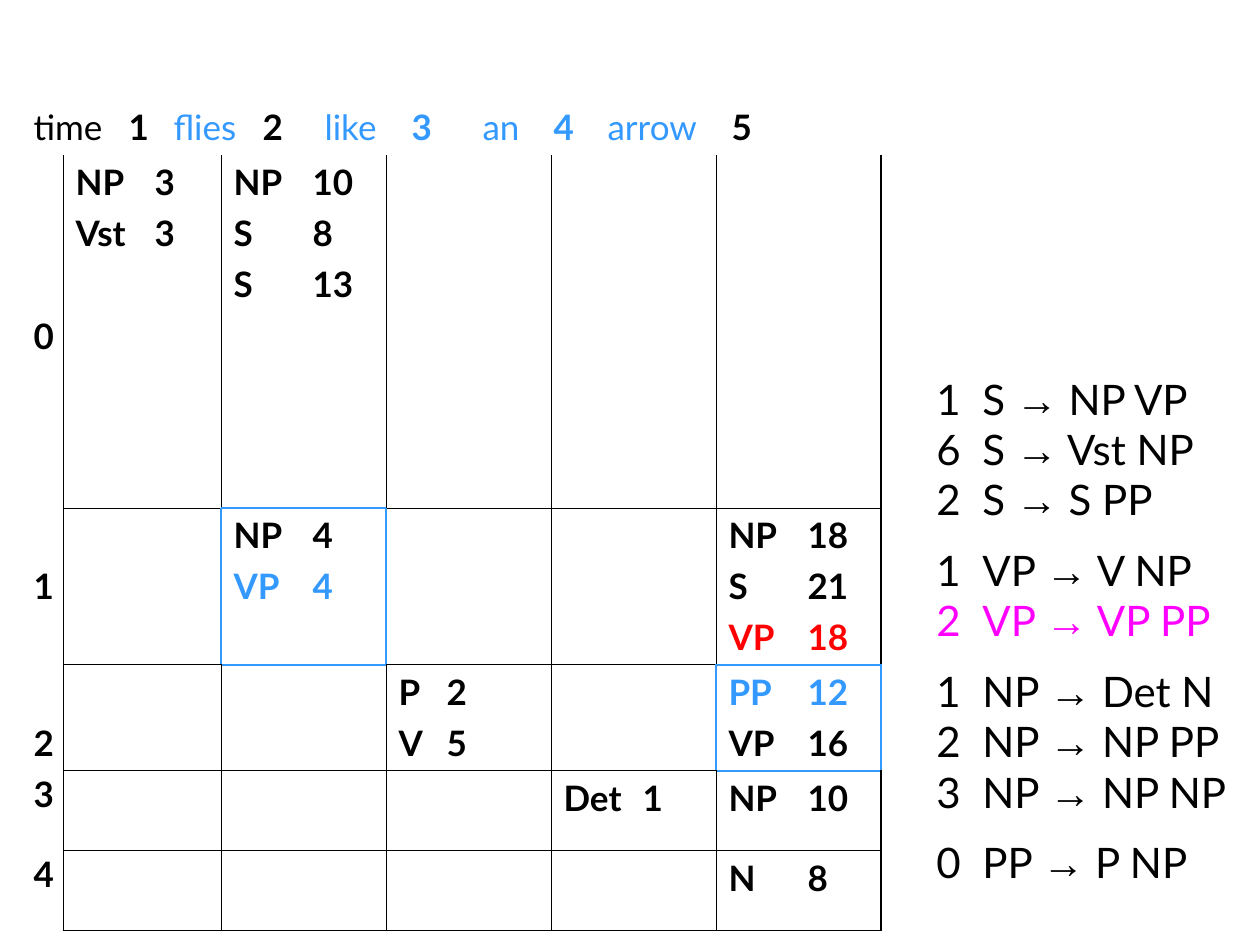
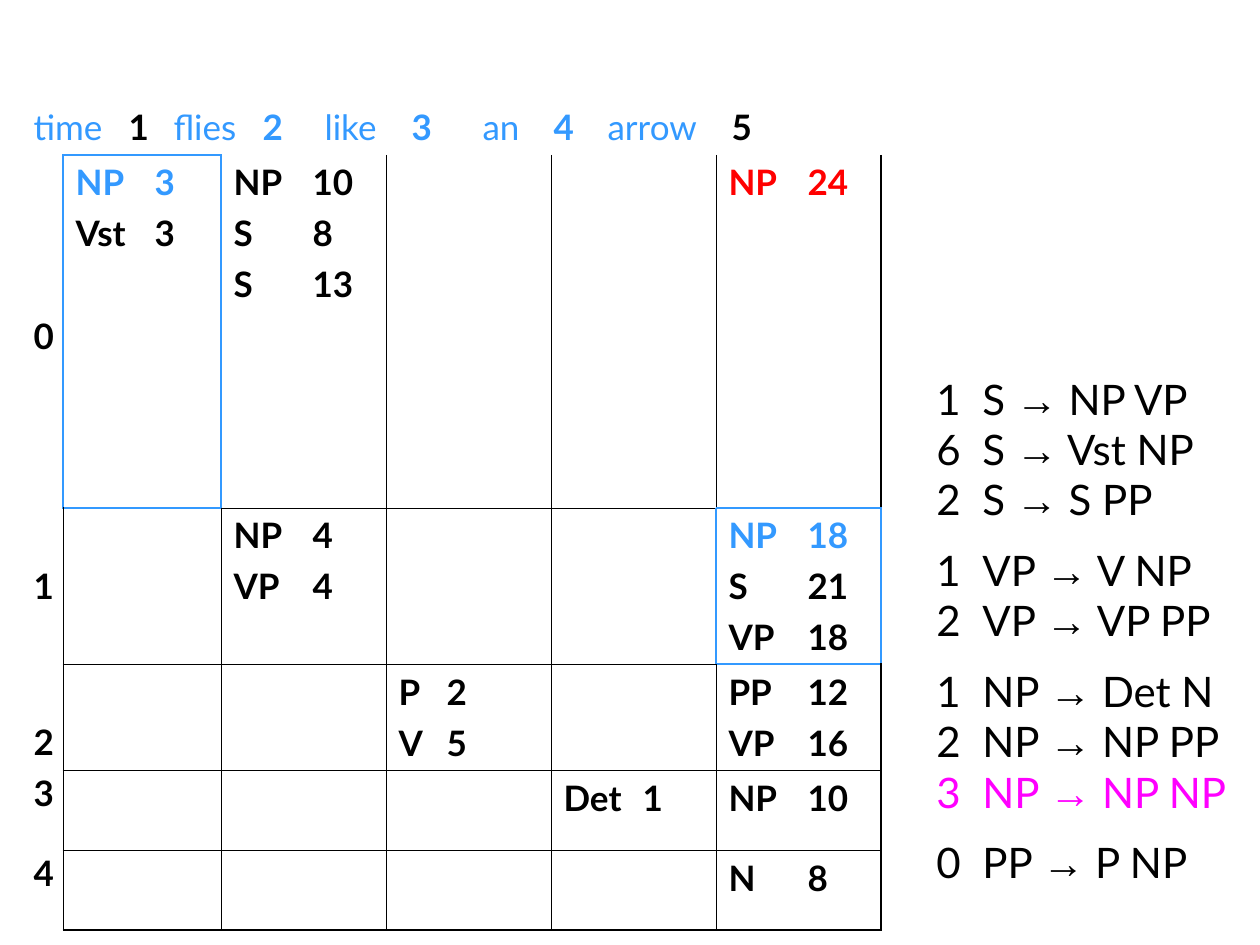
from lxml import etree
from pptx import Presentation
from pptx import util as u
from pptx.dml.color import RGBColor
from pptx.enum import text
from pptx.oxml.ns import qn

HUES = {"ink": "000000", "mark": "3399FF", "new": "FF0000", "rule": "FF00FF"}
COLS = [42, 158, 165, 165, 165, 165]
ROWS = [55, 353, 156, 106, 80, 80]
LEADS = [4.64, 2.2, 2.2, 0.9, 0.9]
WORDS = ["time", "1", "flies", "2", "like", "3", "an", "4", "arrow", "5"]
STOPS = [95, 140, 229, 291, 378, 449, 520, 574, 698]
CHART = {
    (0, 0): ["NP 3", "Vst 3"],
    (0, 1): ["NP 10", "S 8", "S 13"],
    (1, 1): ["NP 4", "VP 4"],
    (1, 4): ["NP 18", "S 21", "VP 18"],
    (2, 2): ["P 2", "V 5"],
    (2, 4): ["PP 12", "VP 16"],
    (3, 3): ["Det 1"],
    (3, 4): ["NP 10"],
    (4, 4): ["N 8"],
}
RULES = ["1 S → NP VP", "6 S → Vst NP", "2 S → S PP",
         "1 VP → V NP", "2 VP → VP PP",
         "1 NP → Det N", "2 NP → NP PP", "3 NP → NP NP",
         "0 PP → P NP"]
GRID = "{2D5ABB26-0587-4C30-8999-92F81FD0307C}"


def px(n):
    return u.Emu(round(n * 914400 / 126))


class Deck:
    """Holds the style and the current slide, and draws each kind of element."""

    def __init__(self):
        self.prs = Presentation()
        self.prs.slide_width, self.prs.slide_height = px(1260), px(945)

    def page(self):
        self.slide = self.prs.slides.add_slide(self.prs.slide_layouts[6])

    def style(self, par, size, hue="ink", bold=False, stops=(), lead=None, gap=0):
        if stops:
            tabs = etree.SubElement(par._p.get_or_add_pPr(), qn("a:tabLst"))
            for stop in stops:
                etree.SubElement(tabs, qn("a:tab"), pos=str(px(stop)), algn="l")
        if lead:
            par.line_spacing = lead
        if gap:
            par.space_before = u.Pt(gap)
        font = par.font
        font.name, font.size, font.bold = "Lato", u.Pt(size), bold
        font.color.rgb = RGBColor.from_string(HUES[hue])

    def edge(self, cell, sides):
        cell.fill.background()
        props = cell._tc.get_or_add_tcPr()
        for i, (side, (hue, width)) in enumerate(sides.items()):
            line = etree.Element(qn("a:ln" + side), w=str(u.Pt(width)))
            fill = etree.SubElement(line, qn("a:solidFill"))
            etree.SubElement(fill, qn("a:srgbClr"), val=HUES[hue])
            props.insert(i, line)

    def head(self, cell, dark):
        par = cell.text_frame.paragraphs[0]
        self.style(par, 20, stops=STOPS)
        for i, word in enumerate(WORDS):
            run = par.add_run()
            run.text = word if i == 0 else "\t" + word
            run.font.bold = word.isdigit()
            hue = "ink" if word in dark else "mark"
            run.font.color.rgb = RGBColor.from_string(HUES[hue])

    def items(self, cell, items, stop, hues):
        frame = cell.text_frame
        for i, item in enumerate(items):
            par = frame.add_paragraph() if i else frame.paragraphs[0]
            self.style(par, 20, hues.get(i, "ink"), True, [stop], gap=5 if i else 0)
            par.add_run().text = item.replace(" ", "\t")

    def table(self, chart, dark, marks, hues):
        frame = self.slide.shapes.add_table(
            len(ROWS), len(COLS), px(21), px(100), px(sum(COLS)), px(sum(ROWS)))
        table = frame.table
        table.first_row = table.horz_banding = False
        table._tbl.tblPr.find(qn("a:tableStyleId")).text = GRID
        for col, size in zip(table.columns, COLS):
            col.width = px(size)
        for row, size in zip(table.rows, ROWS):
            row.height = px(size)
        for i in range(len(COLS)):
            table.cell(0, i).fill.background()
        table.cell(0, 0).merge(table.cell(0, len(COLS) - 1))
        self.head(table.cell(0, 0), dark)
        for r, lead in enumerate(LEADS):
            label = table.cell(r + 1, 0)
            par = label.text_frame.paragraphs[0]
            par.alignment = text.PP_ALIGN.CENTER
            self.style(par, 20, bold=True, lead=lead)
            par.add_run().text = str(r)
            self.edge(label, {"R": ("mark", 1.08) if (r, 0) in marks else ("ink", 0.45)})
            for c in range(5):
                cell = table.cell(r + 1, c + 1)
                near = {"L": (r, c - 1), "R": (r, c + 1),
                        "T": (r - 1, c), "B": (r + 1, c)}
                sides = {}
                for side, spot in near.items():
                    if marks & {(r, c), spot}:
                        sides[side] = ("mark", 1.08)
                    elif spot[0] >= 0:
                        sides[side] = ("ink", 1.08 if 5 in spot else 0.45)
                self.edge(cell, sides)
                self.items(cell, chart.get((r, c), []), 48 if c == 2 else 79,
                           hues.get((r, c), {}))

    def rules(self, used):
        box = self.slide.shapes.add_textbox(px(924), px(367), px(336), px(527))
        frame = box.text_frame
        frame.word_wrap = True
        last = "S"
        for i, rule in enumerate(RULES):
            par = frame.add_paragraph() if i else frame.paragraphs[0]
            cost, left, arrow, right = rule.split(" ", 3)
            self.style(par, 24, "rule" if i == used else "ink", stops=[46],
                       lead=1.4 if left != last else None)
            last = left
            for part in (f"{cost}\t{left} ", arrow, f" {right}"):
                run = par.add_run()
                run.text = part
                if part == arrow:
                    run.font.name = "Arial"

    def step(self, chart, dark, marks, hues, used):
        self.page()
        self.table(chart, dark, marks, hues)
        self.rules(used)


def main():
    deck = Deck()
    deck.step(CHART, {"time", "1", "2", "5"}, {(1, 1), (2, 4)},
              {(1, 1): {1: "mark"}, (2, 4): {0: "mark"}, (1, 4): {2: "new"}}, 4)
    deck.step({**CHART, (0, 4): ["NP 24"]}, {"1", "5"}, {(0, 0), (1, 4)},
              {(0, 0): {0: "mark"}, (1, 4): {0: "mark"}, (0, 4): {0: "new"}}, 7)
    deck.prs.save("out.pptx")


if __name__ == "__main__":
    main()
